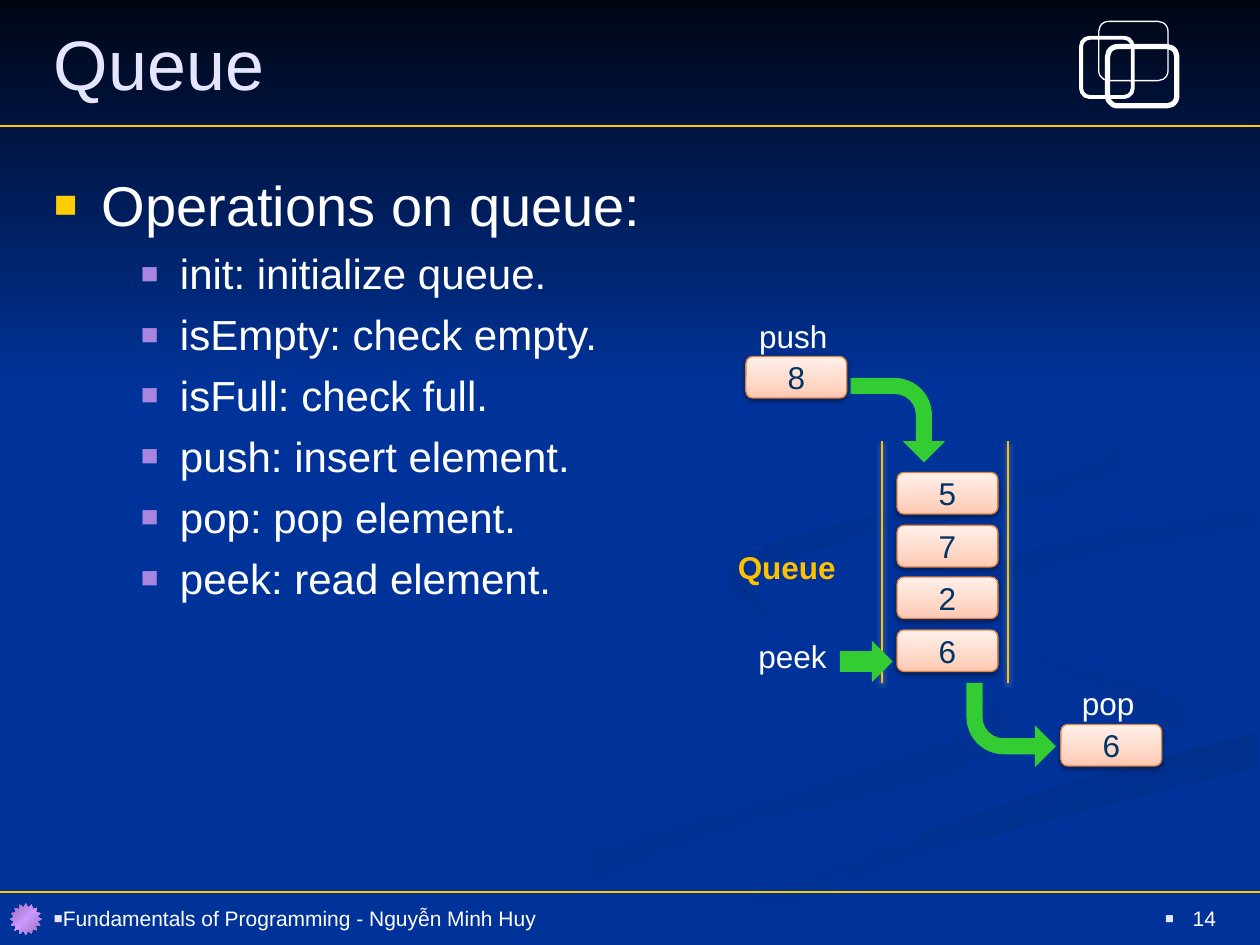
from dataclasses import dataclass

import pptx
import pptx.dml.color
import pptx.enum.shapes
import pptx.enum.text
import pptx.oxml.ns
import pptx.util
from lxml import etree

PX = 9144  # EMU in one px, 100 px to the inch
FONT = "Arial"
INK = {
    "back": "003399", "night": "000514", "rule": "FFCC00", "title": "E5E5FF",
    "white": "FFFFFF", "sub": "A886E0", "gold": "FFC000", "green": "33CC33",
    "edge": "DD8443", "digit": "003366", "black": "000000",
    "low": "FFC8B1", "mid": "FFD8C8", "top": "FFF0EA",
    "plum": "926DB6", "lilac": "CC99FF",
    "shade": "003193", "deep": "002F8C", "dusk": "003091",
}
KIND = pptx.enum.shapes.MSO_SHAPE
ALIGN = pptx.enum.text.PP_ALIGN
ANCHOR = pptx.enum.text.MSO_ANCHOR
qn = pptx.oxml.ns.qn


@dataclass
class Box:
    x: int
    y: int
    w: int
    h: int


@dataclass
class Bullet:
    ink: str
    left: int = 0
    hang: int = 0


@dataclass
class Line:
    text: str
    size: int
    ink: str = "white"
    bold: bool = False
    align: ALIGN = ALIGN.LEFT
    bullet: Bullet | None = None
    gap: int = 0


@dataclass
class Swirl:
    """A ribbon between two curved edges, the second running back."""
    first: str
    last: str
    angle: int
    out: list
    back: list


@dataclass
class Arrow:
    kind: KIND
    box: Box
    turn: int
    flip: bool = False


def rgb(ink: str):
    return pptx.dml.color.RGBColor.from_string(INK[ink])


def sub(node, tag: str, **attrs):
    return etree.SubElement(node, qn(tag), {k: str(v) for k, v in attrs.items()})


def blend(shape, inks: list, angle: int, mid: int = 50):
    """Fill with evenly run inks, the middle one at mid percent; one ink is solid."""
    if len(inks) == 1:
        shape.fill.solid()
        shape.fill.fore_color.rgb = rgb(inks[0])
        return
    shape.fill.gradient()
    grad = shape._element.spPr.find(qn("a:gradFill"))
    grad.clear()
    steps = sub(grad, "a:gsLst")
    places = (0, 100) if len(inks) == 2 else (0, mid, 100)
    for pos, ink in zip(places, inks):
        sub(sub(steps, "a:gs", pos=pos * 1000), "a:srgbClr", val=INK[ink])
    sub(grad, "a:lin", ang=angle * 60000, scaled=0)


def shade(item, ink: str, alpha: int):
    """Drop a soft shadow straight down."""
    effect = item._element.spPr.find(qn("a:effectLst"))
    drop = sub(effect, "a:outerShdw", blurRad=39370, dist=20320, dir=5400000, rotWithShape=0)
    sub(sub(drop, "a:srgbClr", val=INK[ink]), "a:alpha", val=alpha * 1000)


def form(kind: KIND, box: Box, inks: list = (), angle: int = 0, mid: int = 50, edge: str = "", width: float = 0):
    shape = shapes.add_shape(kind, box.x * PX, box.y * PX, box.w * PX, box.h * PX)
    shape.shadow.inherit = False
    if inks:
        blend(shape, inks, angle, mid)
    else:
        shape.fill.background()
    if edge:
        shape.line.color.rgb = rgb(edge)
        shape.line.width = pptx.util.Pt(width)
    else:
        shape.line.fill.background()
    return shape


def rule(x1: int, y1: int, x2: int, y2: int, ink: str):
    line = shapes.add_connector(pptx.enum.shapes.MSO_CONNECTOR.STRAIGHT, x1 * PX, y1 * PX, x2 * PX, y2 * PX)
    line.line.color.rgb = rgb(ink)
    line.line.width = pptx.util.Pt(0.75)
    sub(line._element.spPr, "a:effectLst")
    return line


def write(shape, lines: list, anchor: ANCHOR = ANCHOR.MIDDLE, wrap: bool = True):
    frame = shape.text_frame
    frame.word_wrap = wrap
    frame.vertical_anchor = anchor
    for i, line in enumerate(lines):
        para = frame.add_paragraph() if i else frame.paragraphs[0]
        para.alignment = line.align
        if line.gap:
            para.space_before = pptx.util.Pt(line.gap)
        if line.bullet:
            props = para._p.get_or_add_pPr()
            props.set("marL", str(line.bullet.left * PX))
            props.set("indent", str(-line.bullet.hang * PX))
            sub(sub(props, "a:buClr"), "a:srgbClr", val=INK[line.bullet.ink])
            sub(props, "a:buSzPct", val=70000)
            sub(props, "a:buFont", typeface=FONT)
            sub(props, "a:buChar", char="■")
        run = para.add_run()
        run.text = line.text
        run.font.name = FONT
        run.font.size = pptx.util.Pt(line.size)
        run.font.bold = line.bold
        run.font.color.rgb = rgb(line.ink)


def note(box: Box, lines: list, anchor: ANCHOR = ANCHOR.MIDDLE):
    write(shapes.add_textbox(box.x * PX, box.y * PX, box.w * PX, box.h * PX), lines, anchor)


def label(box: Box, text: str, ink: str = "white", bold: bool = False):
    write(form(KIND.ROUNDED_RECTANGLE, box), [Line(text, 18, ink, bold, ALIGN.CENTER)], wrap=False)


def cell(x: int, y: int, text: str):
    shape = form(KIND.ROUNDED_RECTANGLE, Box(x, y, 80, 33), ["low", "mid", "top"], 270, 35, "edge", 0.75)
    shade(shape, "black", 38)
    write(shape, [Line(text, 18, "digit", align=ALIGN.CENTER)], wrap=False)


def curve(knots: list, steps: int = 5) -> list:
    """Points of a Catmull-Rom curve through the knots."""
    ends = [knots[0], *knots, knots[-1]]
    spots = []
    for quad in zip(ends, ends[1:], ends[2:], ends[3:]):
        for t in (i / steps for i in range(steps)):
            spots.append(tuple(
                round(b + t * (c - a + t * (2 * a - 5 * b + 4 * c - d + t * (3 * b - a - 3 * c + d))) / 2)
                for a, b, c, d in zip(*quad)))
    return [*spots, knots[-1]]


def swirl(item: Swirl):
    spots = curve(item.out) + curve(item.back)
    build = shapes.build_freeform(*spots[0], scale=PX)
    build.add_line_segments(spots[1:], close=True)
    shape = build.convert_to_shape()
    shape.shadow.inherit = False
    shape.line.fill.background()
    blend(shape, [item.first, item.last], item.angle)


def point(item: Arrow):
    shape = form(item.kind, item.box, ["green"])
    shape.rotation = item.turn
    if item.kind == KIND.BENT_ARROW:
        for i, ratio in enumerate((0.19, 0.25, 0.25, 0.44)):
            shape.adjustments[i] = ratio
    if item.flip:
        shape._element.spPr.find(qn("a:xfrm")).set("flipH", "1")


SWIRLS = [
    Swirl("back", "shade", 0,
          [(575, 459), (614, 496), (757, 543), (799, 573), (756, 614), (564, 665), (361, 749)],
          [(300, 749), (417, 690), (652, 620), (785, 570), (714, 530), (581, 484)]),
    Swirl("back", "shade", 45, [(724, 464), (774, 503), (919, 547), (943, 570), (894, 605)],
          [(917, 585), (868, 544), (766, 512)]),
    Swirl("deep", "back", 90, [(571, 749), (722, 682), (998, 609)], [(998, 581), (797, 638), (503, 749)]),
    Swirl("dusk", "back", 45, [(998, 402), (849, 427), (781, 460), (826, 496)], [(805, 472), (843, 448), (998, 420)]),
    Swirl("deep", "back", 45, [(762, 233), (870, 299), (870, 365), (649, 420), (578, 456), (622, 500)],
          [(594, 465), (649, 436), (867, 384), (893, 335), (854, 283)]),
]
ARROWS = [
    Arrow(KIND.BENT_ARROW, Box(679, 296, 67, 75), 90),
    Arrow(KIND.BENT_ARROW, Box(767, 542, 71, 67), 180, flip=True),
    Arrow(KIND.DOWN_ARROW, Box(671, 504, 33, 42), 270),
]
FRAMES = [(Box(858, 30, 41, 47), 2.25), (Box(872, 17, 55, 47), 0.75), (Box(879, 37, 55, 47), 3)]
TASKS = ["init: initialize queue.", "isEmpty: check empty.", "isFull: check full.",
         "push: insert element.", "pop: pop element.", "peek: read element."]

deck = pptx.Presentation()
deck.slide_width, deck.slide_height = 1000 * PX, 750 * PX
slide = deck.slides.add_slide(deck.slide_layouts[6])
shapes = slide.shapes
slide.background.fill.solid()
slide.background.fill.fore_color.rgb = rgb("back")

for item in SWIRLS:
    swirl(item)
form(KIND.RECTANGLE, Box(0, 0, 1000, 308), ["night", "back"], 90)
for y in (100, 708):
    rule(0, y, 1000, y, "rule")
for box, width in FRAMES:
    form(KIND.FLOWCHART_ALTERNATE_PROCESS, box, edge="white", width=width)
form(KIND.STAR_16_POINT, Box(8, 717, 25, 25), ["plum", "lilac", "plum"], 45)

note(Box(33, 0, 942, 100), [Line("Queue", 40, "title")])
head = Line("Operations on queue:", 32, bullet=Bullet("rule", 38, 38))
tasks = [Line(text, 24, bullet=Bullet("sub", 100, 31), gap=6) for text in TASKS]
note(Box(33, 130, 942, 562), [head, *tasks], ANCHOR.TOP)
note(Box(742, 708, 233, 42), [Line("14", 12, align=ALIGN.RIGHT, bullet=Bullet("title", 22, 22))])
note(Box(33, 708, 692, 42), [Line("Fundamentals of Programming - Nguyễn Minh Huy", 12, bullet=Bullet("title"))])

for x in (700, 800):
    shade(rule(x, 542, x, 350, "gold"), "white", 60)
label(Box(508, 425, 233, 50), "Queue", "gold", True)
for i, text in enumerate("5726"):
    cell(712, 375 + round(i * 125 / 3), text)
for item in ARROWS:
    point(item)
label(Box(567, 242, 125, 50), "push")
label(Box(817, 533, 125, 50), "pop")
note(Box(592, 501, 83, 40), [Line("peek", 18)], ANCHOR.TOP)
cell(842, 575, "6")
cell(592, 283, "8")
deck.save("out.pptx")
